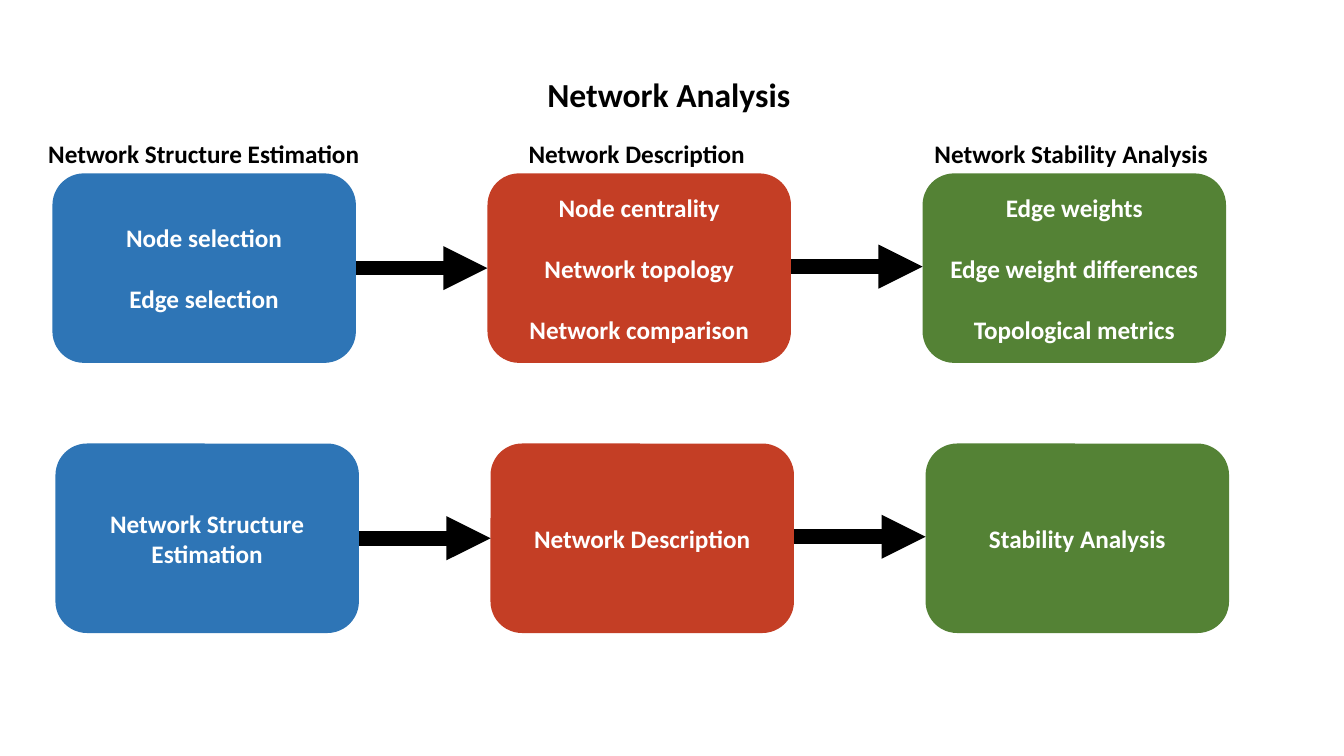
from dataclasses import dataclass

from lxml import etree
from pptx import Presentation
from pptx.dml.color import RGBColor
from pptx.enum.shapes import MSO_CONNECTOR, MSO_SHAPE
from pptx.enum.text import MSO_ANCHOR, PP_ALIGN
from pptx.oxml.ns import qn
from pptx.slide import Slide
from pptx.text.text import TextFrame
from pptx.util import Inches, Pt

ROUNDED = MSO_SHAPE.ROUNDED_RECTANGLE
STRAIGHT = MSO_CONNECTOR.STRAIGHT
MIDDLE, TOP = MSO_ANCHOR.MIDDLE, MSO_ANCHOR.TOP
CENTER, LEFT = PP_ALIGN.CENTER, PP_ALIGN.LEFT

BLUE = RGBColor(0x2E, 0x75, 0xB6)
RED = RGBColor(0xC4, 0x3E, 0x25)
GREEN = RGBColor(0x54, 0x82, 0x35)
BLACK = RGBColor(0, 0, 0)
WHITE = RGBColor(255, 255, 255)

# Grid of boxes, in inches
GRID_LEFT, GRID_TOP = 0.52, 1.72
COLUMN_STEP, ROW_STEP = 4.315, 2.68
ROW_SHIFT = 0.03
BOX_WIDTH, BOX_HEIGHT = 3.01, 1.88
LABEL_HEIGHT = 0.4
ARROW_RISE = 0.015
LINE_GAP = 22


@dataclass(frozen=True)
class Stage:
    label: str
    label_offset: float
    label_width: float
    color: RGBColor
    details: tuple[str, ...]
    summary: str


STAGES = (
    Stage("Network Structure Estimation", -0.14, 3.29, BLUE,
          ("Node selection", "Edge selection"), "Network Structure Estimation"),
    Stage("Network Description", 0.31, 2.4, RED,
          ("Node centrality", "Network topology", "Network comparison"),
          "Network Description"),
    Stage("Network Stability Analysis", 0.02, 2.96, GREEN,
          ("Edge weights", "Edge weight differences", "Topological metrics"),
          "Stability Analysis"),
)


def box_left(column: int, row: int) -> float:
    return GRID_LEFT + column * COLUMN_STEP + row * ROW_SHIFT


def box_top(row: int) -> float:
    return GRID_TOP + row * ROW_STEP


def write_lines(frame: TextFrame, lines: tuple[str, ...], size: int,
                color: RGBColor, alignment: PP_ALIGN) -> None:
    for index, line in enumerate(lines):
        paragraph = frame.add_paragraph() if index else frame.paragraphs[0]
        paragraph.alignment = alignment
        paragraph.space_before = Pt(LINE_GAP if index else 0)
        run = paragraph.add_run()
        run.text = line
        font_format = {"name": "Calibri", "size": Pt(size), "bold": True}
        for name, value in font_format.items():
            setattr(run.font, name, value)
        run.font.color.rgb = color


def add_heading(slide: Slide, text: str, left: float, top: float,
                width: float, height: float, size: int) -> None:
    heading = slide.shapes.add_textbox(
        Inches(left), Inches(top), Inches(width), Inches(height))
    frame_format = {"word_wrap": False, "vertical_anchor": TOP}
    for name, value in frame_format.items():
        setattr(heading.text_frame, name, value)
    write_lines(heading.text_frame, (text,), size, BLACK, LEFT)


def add_box(slide: Slide, column: int, row: int, color: RGBColor,
            lines: tuple[str, ...]) -> None:
    box = slide.shapes.add_shape(
        ROUNDED, Inches(box_left(column, row)), Inches(box_top(row)),
        Inches(BOX_WIDTH), Inches(BOX_HEIGHT))
    box.shadow.inherit = False
    box.fill.solid()
    box.fill.fore_color.rgb = color
    box.line.fill.background()
    frame_format = {"word_wrap": True, "vertical_anchor": MIDDLE}
    for name, value in frame_format.items():
        setattr(box.text_frame, name, value)
    write_lines(box.text_frame, lines, 18, WHITE, CENTER)


def add_arrow(slide: Slide, column: int, row: int) -> None:
    """Join a box to the next one in its row."""
    height = Inches(box_top(row) + BOX_HEIGHT / 2 - column * ARROW_RISE)
    arrow = slide.shapes.add_connector(
        STRAIGHT, Inches(box_left(column, row) + BOX_WIDTH), height,
        Inches(box_left(column + 1, row)), height)
    arrow.line.width = Pt(10.5)
    arrow.line.color.rgb = BLACK
    etree.SubElement(arrow.line._get_or_add_ln(), qn("a:tailEnd"), type="triangle")
    etree.SubElement(arrow._element.spPr, qn("a:effectLst"))


presentation = Presentation()
presentation.slide_width = Inches(13.33)
presentation.slide_height = Inches(7.5)
slide = presentation.slides.add_slide(presentation.slide_layouts[6])

# Title
add_heading(slide, "Network Analysis", 5.33, 0.68, 2.68, 0.5, 24)

# Stage labels, detailed row and summary row
for column, stage in enumerate(STAGES):
    add_heading(slide, stage.label, box_left(column, 0) + stage.label_offset,
                GRID_TOP - LABEL_HEIGHT, stage.label_width, LABEL_HEIGHT, 18)
    for row, lines in enumerate((stage.details, (stage.summary,))):
        add_box(slide, column, row, stage.color, lines)

# Arrows between neighbouring stages
for row in range(2):
    for column in range(len(STAGES) - 1):
        add_arrow(slide, column, row)

presentation.save("out.pptx")
